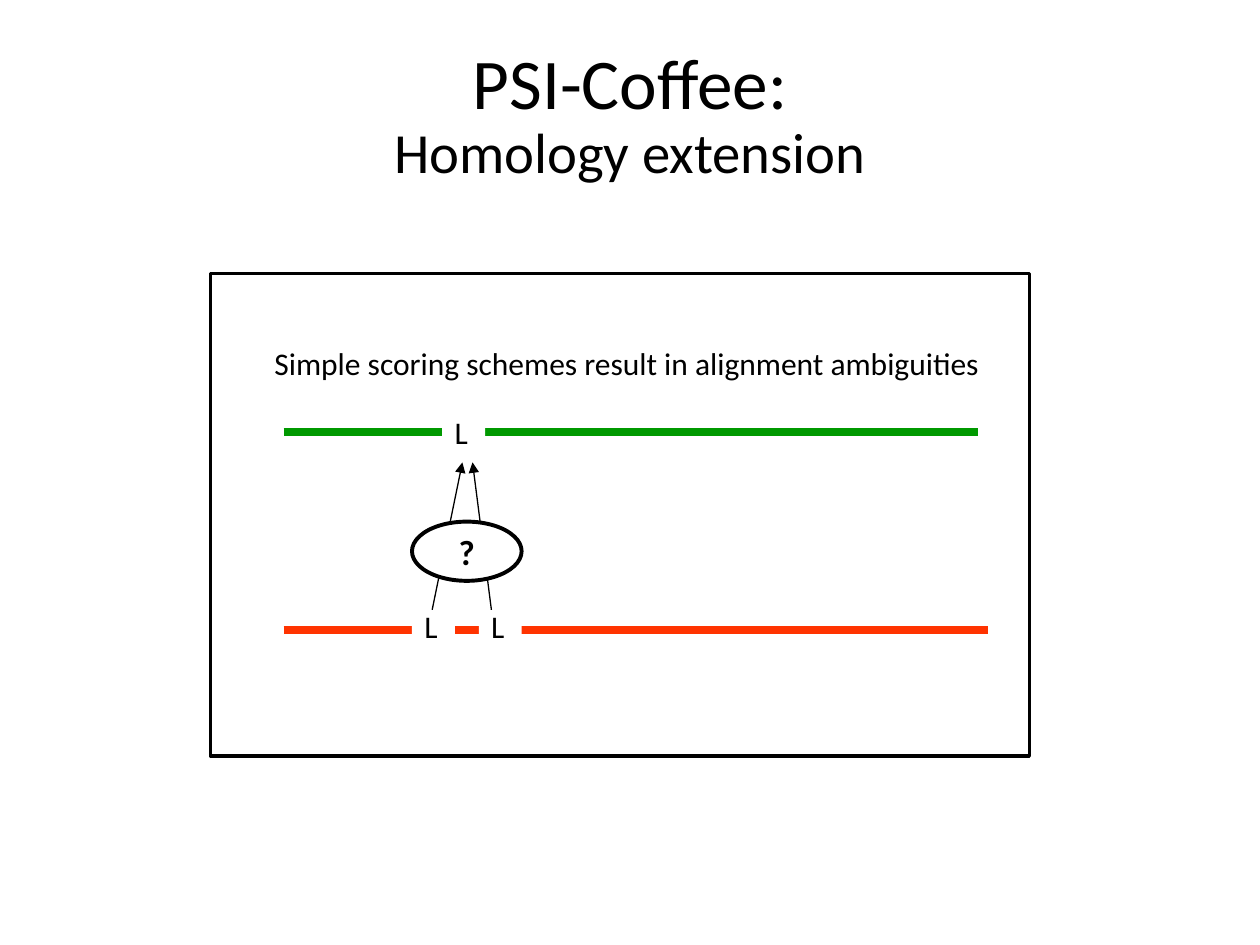
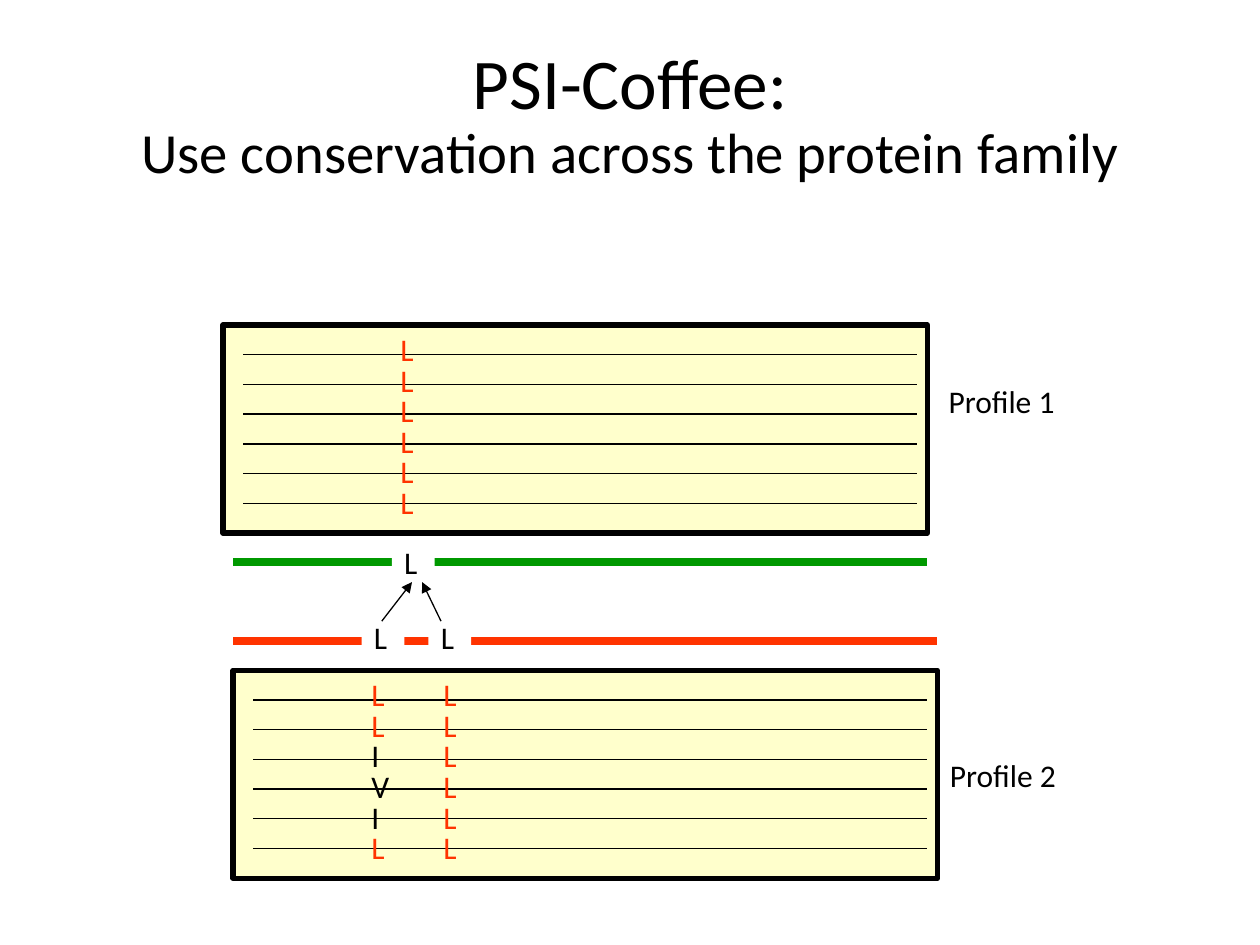
from pptx import Presentation
from pptx.dml.color import RGBColor
from pptx.enum.shapes import MSO_CONNECTOR as Connector, MSO_SHAPE as Preset
from pptx.enum.text import MSO_ANCHOR as Anchor, MSO_AUTO_SIZE as AutoSize, PP_ALIGN as Align
from pptx.oxml.ns import qn
from pptx.util import Inches, Pt
from lxml.etree import SubElement

BLACK, WHITE, GREEN, RED, CREAM = "000000", "FFFFFF", "009900", "FF3300", "FFFFCC"
LETTER_WIDTHS = {"L": 0.34, "I": 0.27, "V": 0.37}
LABEL_HEIGHT = 0.4
TITLE_BOX = (0.5, 0.3, 9, 1.25)
BODY_FONT = {"name": "Calibri", "size": Pt(18)}
LABEL_FRAME = {"word_wrap": False, "auto_size": AutoSize.SHAPE_TO_FIT_TEXT}
TITLE_FRAME = {"word_wrap": True, "vertical_anchor": Anchor.MIDDLE}
TITLE_PARAGRAPH = {"alignment": Align.CENTER, "line_spacing": 0.9}
MARK_FRAME = {"word_wrap": False, "vertical_anchor": Anchor.MIDDLE}


def color(hex_text):
    return RGBColor.from_string(hex_text)


def apply(target, values):
    for key, value in values.items():
        setattr(target, key, value)


def write(paragraph, text, ink=BLACK, **changes):
    run = paragraph.add_run()
    run.text = text
    apply(run.font, {**BODY_FONT, **changes})
    run.font.color.rgb = color(ink)


def add_label(slide, text, left, top, width, ink=BLACK, fill=None):
    label = slide.shapes.add_textbox(
        Inches(left), Inches(top), Inches(width), Inches(LABEL_HEIGHT))
    apply(label.text_frame, LABEL_FRAME)
    write(label.text_frame.paragraphs[0], text, ink)
    if fill:
        label.fill.solid()
        label.fill.fore_color.rgb = color(fill)


def add_letter(slide, letter, left, top, ink=BLACK, fill=None):
    add_label(slide, letter, left, top, LETTER_WIDTHS[letter], ink, fill)


def add_line(slide, start, end, ink=BLACK, weight=0.75, arrow=False):
    line = slide.shapes.add_connector(
        Connector.STRAIGHT, *(Inches(value) for value in (*start, *end)))
    line.line.color.rgb = color(ink)
    line.line.width = Pt(weight)
    if arrow:
        SubElement(line.line._get_or_add_ln(), qn("a:tailEnd"), type="triangle")
    SubElement(line._element.spPr, qn("a:effectLst"))


def add_panel(slide, preset, box, weight, fill=None):
    panel = slide.shapes.add_shape(preset, *(Inches(value) for value in box))
    panel.shadow.inherit = False
    panel.line.color.rgb = color(BLACK)
    panel.line.width = Pt(weight)
    if fill:
        panel.fill.solid()
        panel.fill.fore_color.rgb = color(fill)
    else:
        panel.fill.background()
    return panel


def add_title(slide, subtitle):
    frame = slide.shapes.add_textbox(
        *(Inches(value) for value in TITLE_BOX)).text_frame
    apply(frame, TITLE_FRAME)
    lines = (("PSI-Coffee:", 40.7), (subtitle, 32.4))
    for paragraph, (text, size) in zip((frame.paragraphs[0], frame.add_paragraph()), lines):
        apply(paragraph, TITLE_PARAGRAPH)
        write(paragraph, text, size=Pt(size))


def add_alignment(slide, left, top, height, head_gap):
    bottom = top + height
    for y, length, ink in ((top, 5.51, GREEN), (bottom, 5.59, RED)):
        add_line(slide, (left, y), (left + length, y), ink, 4.5)
    for x, y in ((1.02, bottom - 0.23), (1.55, bottom - 0.23), (1.26, top - 0.2)):
        add_letter(slide, "L", left + x, y, fill=WHITE)
    for tail, head in ((1.18, 1.42), (1.65, 1.5)):
        add_line(slide, (left + tail, bottom - 0.16),
                 (left + head, top + head_gap), arrow=True)


def add_profile(slide, left, top, columns):
    add_panel(slide, Preset.RECTANGLE, (left, top, 5.59, 1.65), 3, CREAM)
    for row in range(6):
        y = top + 0.235 + 0.236 * row
        add_line(slide, (left + 0.16, y), (left + 5.51, y))
    for offset, residues in columns:
        for row, residue in enumerate(residues):
            add_letter(slide, residue, left + offset, top - 0.01 + 0.243 * row,
                       RED if residue == "L" else BLACK)


def build_ambiguity_slide(slide):
    add_alignment(slide, 2.25, 3.43, 1.57, 0.24)
    question = add_panel(slide, Preset.OVAL, (3.27, 4.14, 0.87, 0.47), 2.25, WHITE)
    apply(question.text_frame, MARK_FRAME)
    mark = question.text_frame.paragraphs[0]
    mark.alignment = Align.CENTER
    write(mark, "?", size=Pt(20), bold=True)
    add_label(slide, "Simple scoring schemes result in alignment ambiguities",
              2.08, 2.68, 5.86)
    add_title(slide, "Homology extension")
    add_panel(slide, Preset.RECTANGLE, (1.67, 2.17, 6.5, 3.83), 2)


def build_conservation_slide(slide):
    add_alignment(slide, 1.85, 4.46, 0.63, 0.16)
    add_profile(slide, 1.85, 5.32, ((1.57, "LLLLLL"), (1, "LLIVIL")))
    add_profile(slide, 1.77, 2.58, ((1.31, "LLLLLL"),))
    add_label(slide, "Profile 1", 7.43, 2.98, 1.12)
    add_label(slide, "Profile 2", 7.44, 5.95, 1.12)
    add_title(slide, "Use conservation across the protein family")


def main():
    deck = Presentation()
    apply(deck, {"slide_width": Inches(10), "slide_height": Inches(7.5)})
    for build in (build_ambiguity_slide, build_conservation_slide):
        build(deck.slides.add_slide(deck.slide_layouts[6]))
    deck.save("out.pptx")


if __name__ == "__main__":
    main()
